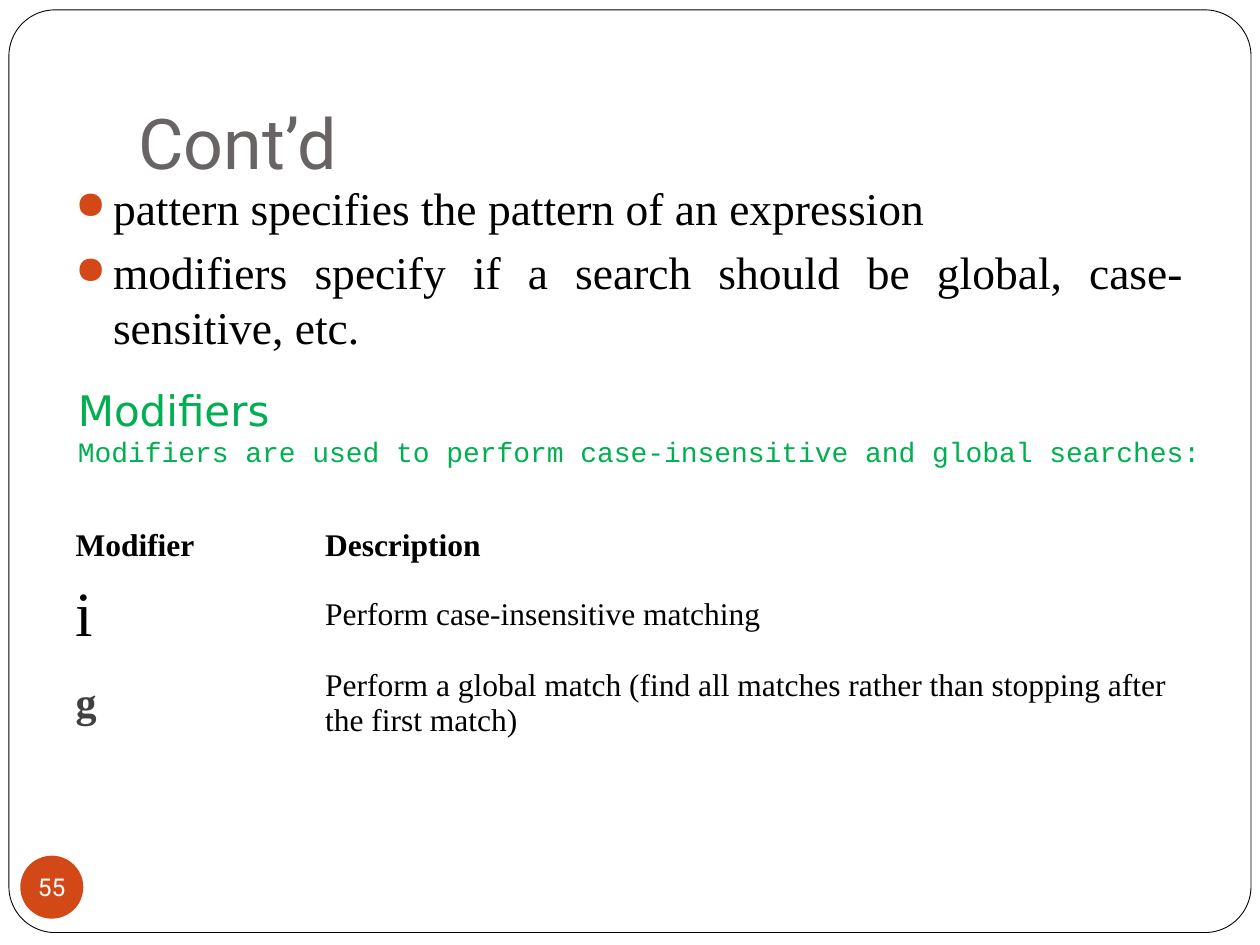
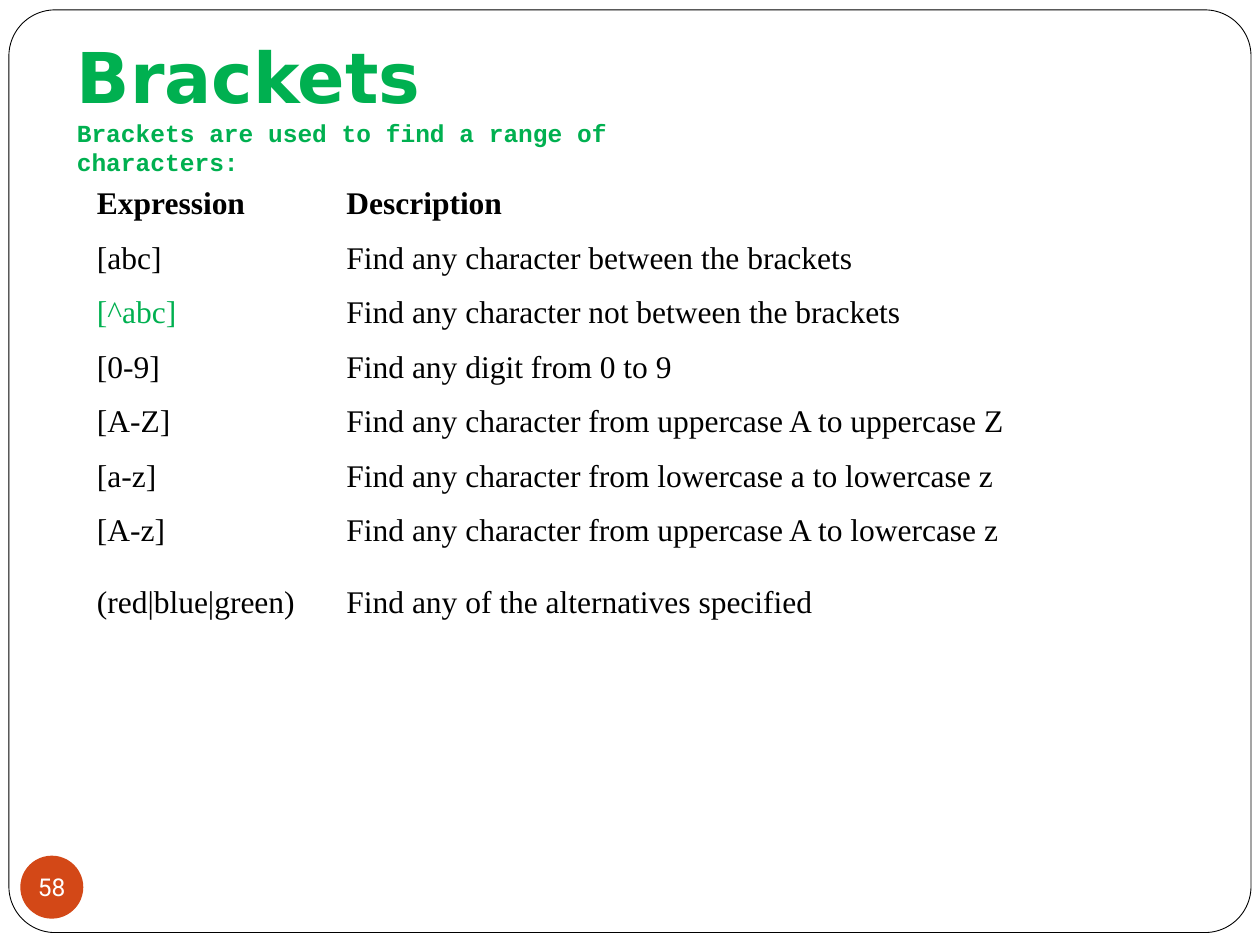
"""Build two slides on regular expression modifiers and brackets."""
from dataclasses import dataclass

import lxml.etree
import pptx
import pptx.dml.color
import pptx.enum.shapes
import pptx.enum.text
import pptx.oxml.ns
import pptx.util

Cm = pptx.util.Cm
Pt = pptx.util.Pt
Align = pptx.enum.text.PP_ALIGN
Anchor = pptx.enum.text.MSO_ANCHOR
Preset = pptx.enum.shapes.MSO_SHAPE

COLORS = {
    "text": "000000",
    "paper": "FFFFFF",
    "title": "696464",
    "accent": "D34817",
    "green": "00B050",
    "dark": "404040",
}
SERIF, SANS, HEADING, MONO = "Times New Roman", "Roboto", "DejaVu Sans", "Courier New"
COLUMN_WIDTHS = (5.03, 17.83)
HEADER_STYLE = {"bold": True}


@dataclass(frozen=True)
class Span:
    text: str
    size: float = 18
    font: str = SERIF
    color: str = "text"
    bold: bool = False


@dataclass(frozen=True)
class Area:
    left: float
    top: float
    width: float
    height: float

    def lengths(self) -> tuple:
        return Cm(self.left), Cm(self.top), Cm(self.width), Cm(self.height)


@dataclass(frozen=True)
class Row:
    height: float
    cells: tuple


def color(name: str) -> pptx.dml.color.RGBColor:
    return pptx.dml.color.RGBColor.from_string(COLORS[name])


def add_span(para, span: Span) -> None:
    run = para.add_run()
    run.text = span.text
    run.font.size = Pt(span.size)
    run.font.name = span.font
    run.font.bold = span.bold
    run.font.color.rgb = color(span.color)


def add_spans(frame, spans: tuple) -> None:
    for index, span in enumerate(spans):
        para = frame.add_paragraph() if index else frame.paragraphs[0]
        add_span(para, span)


def set_margins(frame, side: float, top: float, bottom: float) -> None:
    frame.margin_left = frame.margin_right = Cm(side)
    frame.margin_top, frame.margin_bottom = Cm(top), Cm(bottom)


def add_shape(slide, preset, area: Area, fill: str):
    shape = slide.shapes.add_shape(preset, *area.lengths())
    shape.shadow.inherit = False
    shape.fill.solid()
    shape.fill.fore_color.rgb = color(fill)
    return shape


def add_base(deck, number: int):
    slide = deck.slides.add_slide(deck.slide_layouts[6])
    border = add_shape(slide, Preset.ROUNDED_RECTANGLE, Area(0.18, 0.2, 25.04, 18.6), "paper")
    border.adjustments[0] = 0.05
    border.line.color.rgb = color("text")
    border.line.width = Pt(0.5)

    badge = add_shape(slide, Preset.OVAL, Area(0.41, 17.25, 1.27, 1.27), "accent")
    badge.line.fill.background()
    frame = badge.text_frame
    frame.word_wrap = False
    frame.vertical_anchor = Anchor.MIDDLE
    set_margins(frame, 0, 0, 0)
    add_spans(frame, (Span(str(number), 14, SANS, "paper"),))
    frame.paragraphs[0].alignment = Align.CENTER
    return slide


def add_title(slide, text: str) -> None:
    frame = slide.shapes.add_textbox(*Area(2.54, 0.76, 21.59, 3.18).lengths()).text_frame
    frame.word_wrap = True
    frame.vertical_anchor = Anchor.BOTTOM
    set_margins(frame, 0.25, 0.13, 0.25)
    add_spans(frame, (Span(text, 40, SANS, "title"),))


def add_heading(slide, area: Area, spans: tuple) -> None:
    frame = slide.shapes.add_textbox(*area.lengths()).text_frame
    frame.word_wrap = False
    frame.vertical_anchor = Anchor.MIDDLE
    set_margins(frame, 0.25, 0.18, 0.18)
    add_spans(frame, spans)


def set_bullet(para) -> None:
    properties = para._p.get_or_add_pPr()
    properties.set("marL", str(Cm(0.76)))
    properties.set("indent", str(-Cm(0.76)))
    qn = pptx.oxml.ns.qn
    tint = lxml.etree.SubElement(properties, qn("a:buClr"))
    lxml.etree.SubElement(tint, qn("a:srgbClr"), val=COLORS["accent"])
    lxml.etree.SubElement(properties, qn("a:buSzPct"), val="85000")
    lxml.etree.SubElement(properties, qn("a:buChar"), char="●")


def add_bullets(slide, area: Area, items: tuple) -> None:
    frame = slide.shapes.add_textbox(*area.lengths()).text_frame
    frame.word_wrap = True
    add_spans(frame, tuple(Span(item, 26) for item in items))
    for index, para in enumerate(frame.paragraphs):
        para.alignment = Align.JUSTIFY
        if index:
            para.space_before = Pt(5.8)
        set_bullet(para)


def add_table(slide, left: float, top: float, rows: tuple) -> None:
    area = Area(left, top, sum(COLUMN_WIDTHS), sum(row.height for row in rows))
    table = slide.shapes.add_table(len(rows), len(COLUMN_WIDTHS), *area.lengths()).table
    table.first_row = table.horz_banding = False
    for column, width in zip(table.columns, COLUMN_WIDTHS):
        column.width = Cm(width)
    for table_row, row in zip(table.rows, rows):
        table_row.height = Cm(row.height)
        for cell in table_row.cells:
            cell.fill.background()
            cell.vertical_anchor = Anchor.MIDDLE
        for cell, span in zip(table_row.cells, row.cells):
            add_span(cell.text_frame.paragraphs[0], span)


def build_modifiers(deck) -> None:
    slide = add_base(deck, 55)
    add_title(slide, "Cont’d")
    add_bullets(slide, Area(1.27, 3.5, 22.86, 14.5), (
        "pattern specifies the pattern of an expression",
        "modifiers specify if a search should be global, case-sensitive, etc.",
    ))
    add_table(slide, 1.27, 10.49, (
        Row(1.02, (Span("Modifier", **HEADER_STYLE), Span("Description", **HEADER_STYLE))),
        Row(1.78, (Span("i", 36), Span("Perform case-insensitive matching"))),
        Row(1.78, (
            Span("g", 24, color="dark", bold=True),
            Span("Perform a global match (find all matches rather than stopping after the first match)"),
        )),
        Row(1.09, ()),
    ))
    add_heading(slide, Area(1.32, 7.57, 23.14, 2.06), (
        Span("Modifiers", 24, HEADING, "green"),
        Span("Modifiers are used to perform case-insensitive and global searches:", 16, MONO, "green"),
    ))


def build_brackets(deck) -> None:
    slide = add_base(deck, 58)
    expressions = (
        ("[abc]", "Find any character between the brackets"),
        ("[^abc]", "Find any character not between the brackets"),
        ("[0-9]", "Find any digit from 0 to 9"),
        ("[A-Z]", "Find any character from uppercase A to uppercase Z"),
        ("[a-z]", "Find any character from lowercase a to lowercase z"),
        ("[A-z]", "Find any character from uppercase A to lowercase z"),
        ("(red|blue|green)", "Find any of the alternatives specified"),
    )
    rows = [Row(1.1, (Span("Expression", **HEADER_STYLE), Span("Description", **HEADER_STYLE)))]
    for expression, description in expressions:
        tint = "green" if expression == "[^abc]" else "text"
        height = 1.78 if expression.startswith("(") else 1.1
        rows.append(Row(height, (Span(expression, color=tint), Span(description))))
    rows.append(Row(1.1, ()))
    add_table(slide, 1.7, 3.56, tuple(rows))
    add_heading(slide, Area(1.3, 0.79, 14.76, 2.67), (
        Span("Brackets", 40, HEADING, "green", True),
        Span("Brackets are used to find a range of characters:", 14, MONO, "green", True),
    ))


def main() -> None:
    deck = pptx.Presentation()
    deck.slide_width, deck.slide_height = Cm(25.4), Cm(19.05)
    build_modifiers(deck)
    build_brackets(deck)
    deck.save("out.pptx")


if __name__ == "__main__":
    main()
